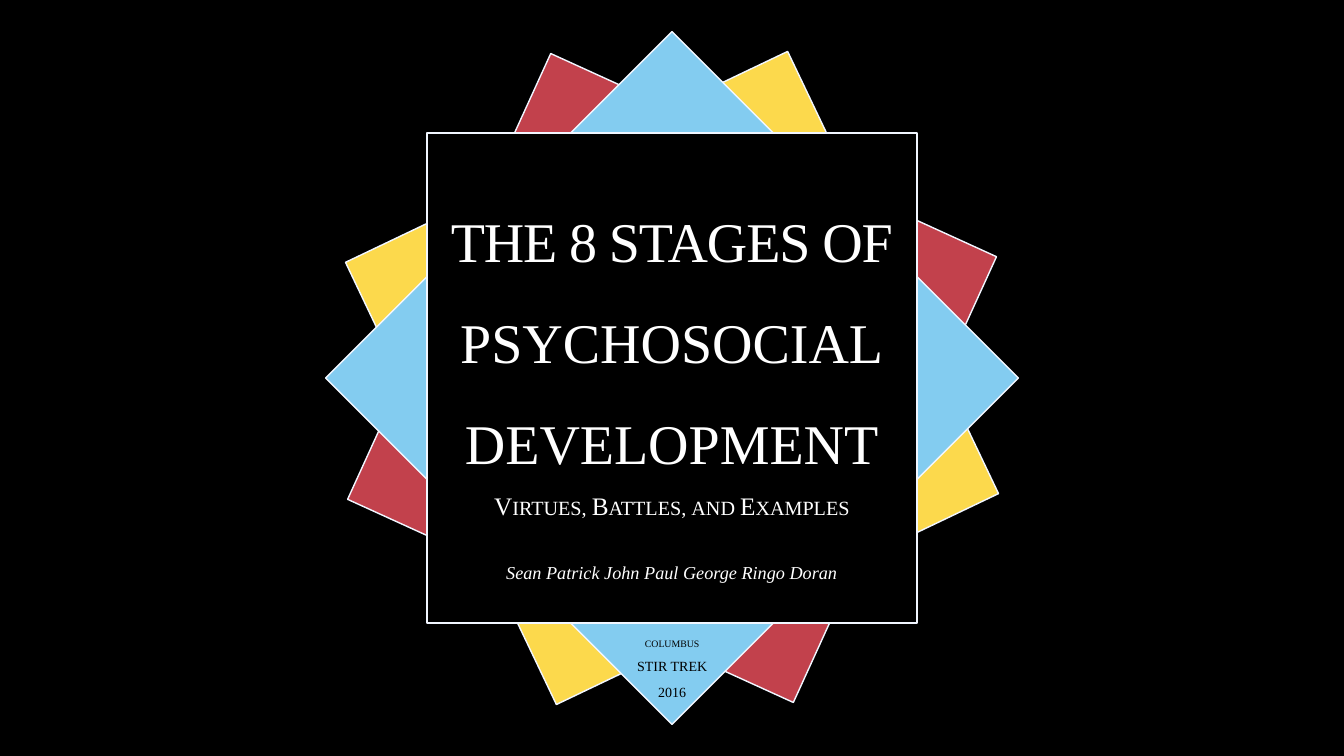
from dataclasses import dataclass

from pptx import Presentation
from pptx.dml.color import RGBColor
from pptx.enum.shapes import MSO_SHAPE
from pptx.enum.text import MSO_ANCHOR, MSO_AUTO_SIZE, PP_ALIGN
from pptx.slide import Slide
from pptx.util import Cm, Pt

SLIDE_WIDTH, SLIDE_HEIGHT = Cm(67.74), Cm(38.1)
SQUARE_SIDE = Cm(24.69)
FONT = "Times New Roman"
BLACK, WHITE, OUTLINE = "000000", "FFFFFF", "F1F6FF"


@dataclass(frozen=True)
class Square:
    rotation: float
    fill: str


@dataclass(frozen=True)
class Span:
    text: str
    size: float
    spacing: int = 0  # hundredths of a point
    small_caps: bool = False
    italic: bool = False


@dataclass(frozen=True)
class Line:
    """A paragraph whose spans are parted by line breaks."""
    spans: tuple[Span, ...]
    line_spacing: float = 1.5
    space_before: float = 0


@dataclass(frozen=True)
class Label:
    left: float
    top: float
    width: float
    height: float
    color: str
    lines: tuple[Line, ...]


SQUARES = (
    Square(64.5, "FCD94C"),
    Square(114.5, "C2414C"),
    Square(45, "83CCF0"),
    Square(0, BLACK),
)

LABELS = (
    Label(21.84, 9.02, 24.05, 20.07, WHITE, (
        Line((Span("THE 8 STAGES OF", 80, spacing=-160),)),
        Line((Span("PSYCHOSOCIAL", 80),)),
        Line((Span("DEVELOPMENT", 80),
              Span("Virtues, Battles, and Examples", 36, small_caps=True))),
        Line((Span("Sean Patrick John Paul George Ringo Doran", 26, italic=True),),
             line_spacing=1, space_before=58),
    )),
    Label(31.72, 31.98, 4.32, 3.15, BLACK, (
        Line((Span("COLUMBUS", 14),)),
        Line((Span("STIR TREK", 20),)),
        Line((Span("2016", 20),)),
    )),
)


def color(value: str) -> RGBColor:
    return RGBColor.from_string(value)


def add_square(slide: Slide, square: Square) -> None:
    shape = slide.shapes.add_shape(
        MSO_SHAPE.RECTANGLE,
        (SLIDE_WIDTH - SQUARE_SIDE) // 2, (SLIDE_HEIGHT - SQUARE_SIDE) // 2,
        SQUARE_SIDE, SQUARE_SIDE)
    shape.rotation = square.rotation
    shape.shadow.inherit = False
    shape.fill.solid()
    shape.fill.fore_color.rgb = color(square.fill)
    shape.line.color.rgb = color(OUTLINE)
    shape.line.width = Pt(2)


def add_label(slide: Slide, label: Label) -> None:
    box = slide.shapes.add_textbox(
        Cm(label.left), Cm(label.top), Cm(label.width), Cm(label.height))
    frame = box.text_frame
    frame.word_wrap = False
    frame.auto_size = MSO_AUTO_SIZE.SHAPE_TO_FIT_TEXT
    frame.vertical_anchor = MSO_ANCHOR.MIDDLE
    frame.margin_left = frame.margin_right = Cm(0.15)
    frame.margin_top = frame.margin_bottom = Cm(0.15)
    for index, line in enumerate(label.lines):
        para = frame.add_paragraph() if index else frame.paragraphs[0]
        para.alignment = PP_ALIGN.CENTER
        para.line_spacing = line.line_spacing
        if line.space_before:
            para.space_before = Pt(line.space_before)
        for position, span in enumerate(line.spans):
            if position:
                para.add_line_break()
            run = para.add_run()
            run.text = span.text
            run.font.name = FONT
            run.font.size = Pt(span.size)
            run.font.italic = span.italic
            run.font.color.rgb = color(label.color)
            properties = run.font._element
            if span.spacing:
                properties.set("spc", str(span.spacing))
            if span.small_caps:
                properties.set("cap", "small")


def main() -> None:
    deck = Presentation()
    deck.slide_width, deck.slide_height = SLIDE_WIDTH, SLIDE_HEIGHT
    page = deck.slides.add_slide(deck.slide_layouts[6])
    page.background.fill.solid()
    page.background.fill.fore_color.rgb = color(BLACK)
    for square in SQUARES:
        add_square(page, square)
    for label in LABELS:
        add_label(page, label)
    deck.save("out.pptx")


if __name__ == "__main__":
    main()
